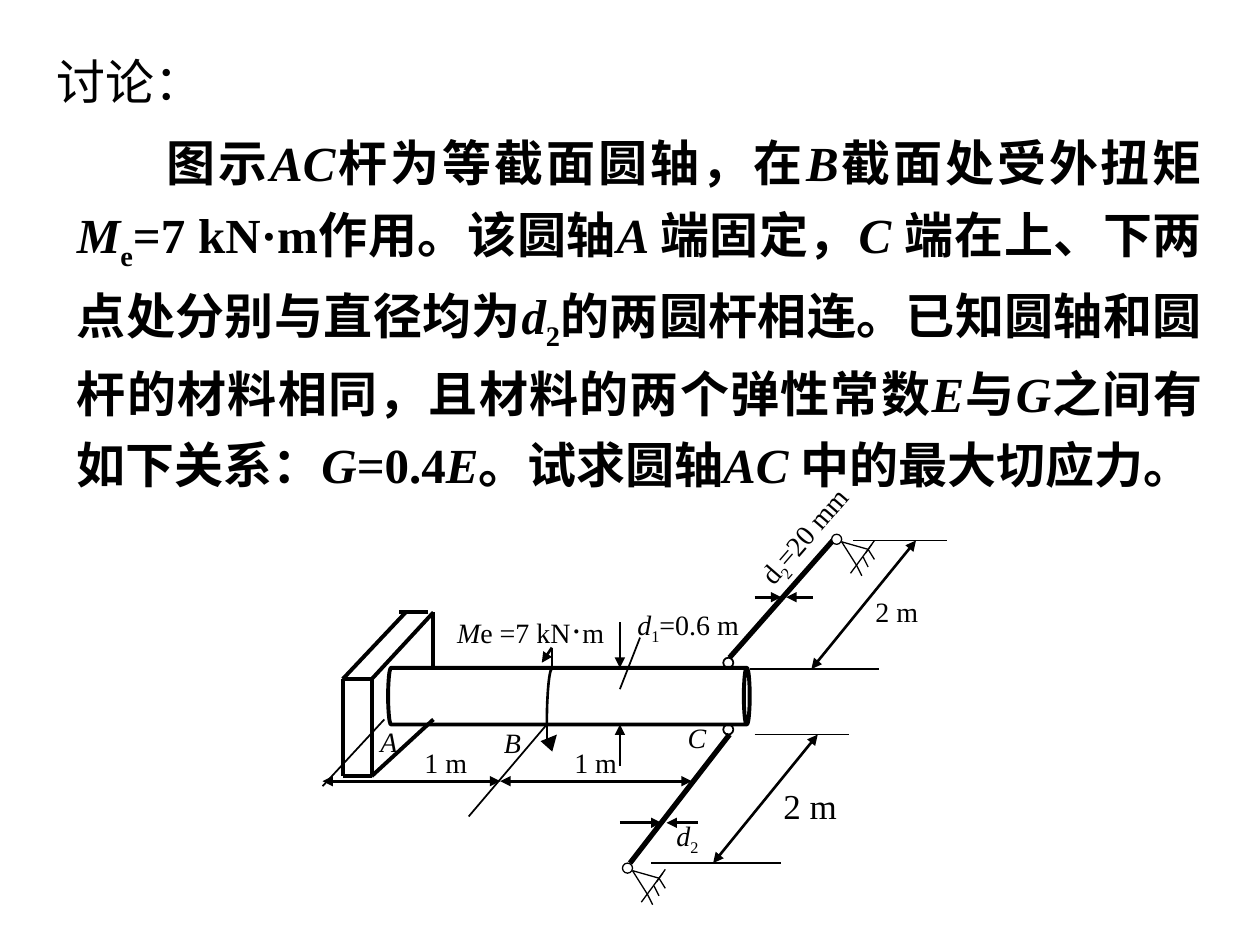
from pptx import Presentation
from pptx.dml.color import RGBColor
from pptx.enum.shapes import MSO_CONNECTOR, MSO_SHAPE
from pptx.enum.text import MSO_ANCHOR, MSO_AUTO_SIZE, PP_ALIGN
from pptx.oxml.ns import qn
from pptx.util import Pt
from lxml import etree

PX = 9144  # 100 px to the inch
BLACK = RGBColor(0, 0, 0)
WHITE = RGBColor(255, 255, 255)
FONT = "Times New Roman"
STRAIGHT = MSO_CONNECTOR.STRAIGHT
CAN, OVAL = MSO_SHAPE.CAN, MSO_SHAPE.OVAL
NO_FIT, GROW = MSO_AUTO_SIZE.NONE, MSO_AUTO_SIZE.SHAPE_TO_FIT_TEXT
TOP = MSO_ANCHOR.TOP
LEFT, JUSTIFY = PP_ALIGN.LEFT, PP_ALIGN.JUSTIFY
END, BOTH = ("tailEnd",), ("headEnd", "tailEnd")


def px(*lengths):
    return [round(length * PX) for length in lengths]


def add_runs(paragraph, runs, size, bold=False):
    """Each run is its text, or (text, style): i italic, s subscript, b big."""
    paragraph.font.name = FONT
    paragraph.font.size = Pt(size)
    paragraph.font.bold = bold
    paragraph.font.color.rgb = BLACK
    for item in runs:
        text, style = (item, "") if isinstance(item, str) else item
        run = paragraph.add_run()
        run.text = text
        if style == "i":
            run.font.italic = True
        elif style == "s":
            run.font._element.set("baseline", "-25000")
        elif style == "b":
            run.font.size = Pt(20)


def add_label(slide, box, runs, size=16, wrap=False, rotation=0):
    label = slide.shapes.add_textbox(*px(*box))
    label.rotation = rotation
    label.text_frame.word_wrap = wrap
    label.text_frame.auto_size = GROW
    add_runs(label.text_frame.paragraphs[0], runs, size)


def add_line(slide, origin, ends, width, arrows=()):
    x, y = origin
    x1, y1, x2, y2 = ends
    line = slide.shapes.add_connector(STRAIGHT, *px(x + x1, y + y1, x + x2, y + y2))
    line.line.color.rgb = BLACK
    line.line.width = Pt(width)
    for arrow in arrows:
        etree.SubElement(line.line._ln, qn("a:" + arrow), type="triangle")
    etree.SubElement(line._element.spPr, qn("a:effectLst"))


def style_outline(shape, width, fill=None):
    shape.shadow.inherit = False
    shape.line.color.rgb = BLACK
    shape.line.width = Pt(width)
    if fill is None:
        shape.fill.background()
    else:
        shape.fill.solid()
        shape.fill.fore_color.rgb = fill


def add_pin(slide, left, top, width, fill=None):
    pin = slide.shapes.add_shape(OVAL, *px(left, top, 8, 8))
    style_outline(pin, width, fill)


def fill_placeholder(placeholder, box, runs, alignment, bold=False):
    placeholder.left, placeholder.top, placeholder.width, placeholder.height = px(*box)
    frame = placeholder.text_frame
    frame.word_wrap = True
    frame.auto_size = NO_FIT
    frame.vertical_anchor = TOP
    paragraph = frame.paragraphs[0]
    paragraph.alignment = alignment
    paragraph.space_before = Pt(0)
    properties = paragraph._p.get_or_add_pPr()
    etree.SubElement(properties, qn("a:buNone"))
    add_runs(paragraph, runs, 28, bold)
    return paragraph


def add_problem(slide):
    fill_placeholder(slide.shapes.title, (35, 36, 206, 57), ["讨论："], LEFT)
    runs = ["图示", ("AC", "i"), "杆为等截面圆轴，在", ("B", "i"), "截面处受外扭矩",
            ("M", "i"), ("e", "s"), "=7 kN·m作用。该圆轴", ("A ", "i"), "端固定，",
            ("C ", "i"), "端在上、下两点处分别与直径均为", ("d", "i"), ("2", "s"),
            "的两圆杆相连。已知圆轴和圆杆的材料相同，且材料的两个弹性常数", ("E", "i"),
            "与", ("G", "i"), "之间有如下关系：", ("G", "i"), "=0.4", ("E", "i"),
            "。试求圆轴", ("AC ", "i"), "中的最大切应力。"]
    paragraph = fill_placeholder(slide.placeholders[1], (51, 91, 913, 362), runs, JUSTIFY, True)
    paragraph.line_spacing = 1.2
    properties = paragraph._p.get_or_add_pPr()
    properties.set("marL", "0")
    properties.set("indent", str(71 * PX))


def add_wall(slide, origin):
    for ends in [(72, 0, 72, 44), (72, 0, 23, 53), (23, 53, 23, 130), (72, 85, 23, 130),
                 (23, 53, 0, 53), (23, 130, 0, 130), (68, 0, 45, 0), (50, 0, 0, 53),
                 (0, 53, 0, 130)]:
        add_line(slide, origin, ends, 2.25)


def add_shaft(slide, left, top, length, diameter):
    origin = left, top
    # The can stands upright before it is turned about its centre
    offset = (length - diameter) / 2
    shaft = slide.shapes.add_shape(CAN, *px(left + offset, top - offset, diameter, length))
    shaft.rotation = 90
    shaft.adjustments[0] = 0.104
    style_outline(shaft, 2.25)

    # Section B: cubic curve, then the torque arrows
    curve = []
    for step in range(13):
        t = step / 12
        weights = (1 - t) ** 3, 3 * t * (1 - t) ** 2, 3 * t * t * (1 - t), t ** 3
        curve.append(px(left + sum(w * x for w, x in zip(weights, (130, 128, 126, 126))),
                        top + sum(w * y for w, y in zip(weights, (1, 1, 21, 45)))))
    builder = slide.shapes.build_freeform(*curve[0])
    builder.add_line_segments(curve[1:], close=False)
    style_outline(builder.convert_to_shape(), 1.5)
    add_line(slide, origin, (130, -16, 130, 1), 1)
    add_line(slide, origin, (126, 45, 126, 62), 1)
    add_line(slide, origin, (130, -16, 122, -4), 1.5, END)
    add_line(slide, origin, (126, 62, 134, 53), 3, END)
    add_label(slide, (left + 45, top - 52, 137, 43),
              [("M", "i"), "e =7 kN", ("·", "b"), "m"])

    # Diameter d1
    add_line(slide, origin, (184, -36, 184, 0), 1.5, END)
    add_line(slide, origin, (184, 78, 184, 45), 1.5, END)
    add_line(slide, origin, (184, 17, 200, -24), 1)
    add_label(slide, (left + 188, top - 53, 101, 40), [("d", "i"), ("1", "s"), "=0.6 m"])

    # Lengths AB and BC
    add_line(slide, origin, (-3, 41, -52, 94), 1)
    add_line(slide, origin, (126, 45, 64, 118), 1)
    for start, end, label_x in [(-52, 89, 19), (89, 241, 138)]:
        add_line(slide, origin, (start, 90, end, 90), 1.5, BOTH)
        add_label(slide, (left + label_x, top + 57, 54, 37), ["1 m"])
    for name, x, y in [("A", -16, 40), ("B", 82, 41), ("C", 228, 37)]:
        add_label(slide, (left + x, top + y, 35, 37), [(name, "i")], wrap=True)


def add_rod(slide, collar, rod, pin, gauge):
    add_pin(slide, *collar, 1)
    add_line(slide, (0, 0), rod, 3)
    add_pin(slide, *pin, 0.75, WHITE)
    # Hatched support below the pin
    for ends in [(15, 31, 32, 8), (8, 6, 20, 25), (8, 6, 29, 12), (27, 15, 34, 5),
                 (20, 25, 24, 33), (25, 18, 29, 26), (29, 12, 34, 20)]:
        add_line(slide, pin, ends, 0.75)
    # Arrows that mark the rod diameter
    x, y, before, after = gauge
    add_line(slide, (x, y), (-before, 0, -2, 0), 1.5, END)
    add_line(slide, (x, y), (after, 0, 2, 0), 1.5, END)


def add_rod_length(slide, origin, label_box, size):
    add_line(slide, origin, (-50, 0, 25, 0), 1)
    add_line(slide, origin, (-132, 102, -29, 102), 1)
    add_line(slide, origin, (0, 0, -83, 102), 1.5, BOTH)
    add_label(slide, label_box, ["2 m"], size)


def main():
    presentation = Presentation()
    presentation.slide_width, presentation.slide_height = px(1000, 750)
    slide = presentation.slides.add_slide(presentation.slide_layouts[1])
    add_problem(slide)
    add_wall(slide, (272, 486))
    add_shaft(slide, 308, 530, 287, 45)
    # Lower rod
    add_rod(slide, (574, 575), (579, 583, 500, 685), (494, 685), (527, 653, 35, 27))
    add_rod_length(slide, (649, 583), (612, 618, 63, 43), 20)
    add_label(slide, (527, 645, 38, 40), [("d", "i"), ("2", "s")], wrap=True)
    # Upper rod
    add_rod(slide, (574, 522), (579, 522, 661, 429), (660, 424), (622, 474, 23, 23))
    add_rod_length(slide, (727, 429), (685, 467, 54, 37), 16)
    add_label(slide, (583, 406, 112, 40), ["d", ("2", "s"), "=20 mm"], wrap=True, rotation=310.9)
    presentation.save("out.pptx")


if __name__ == "__main__":
    main()
